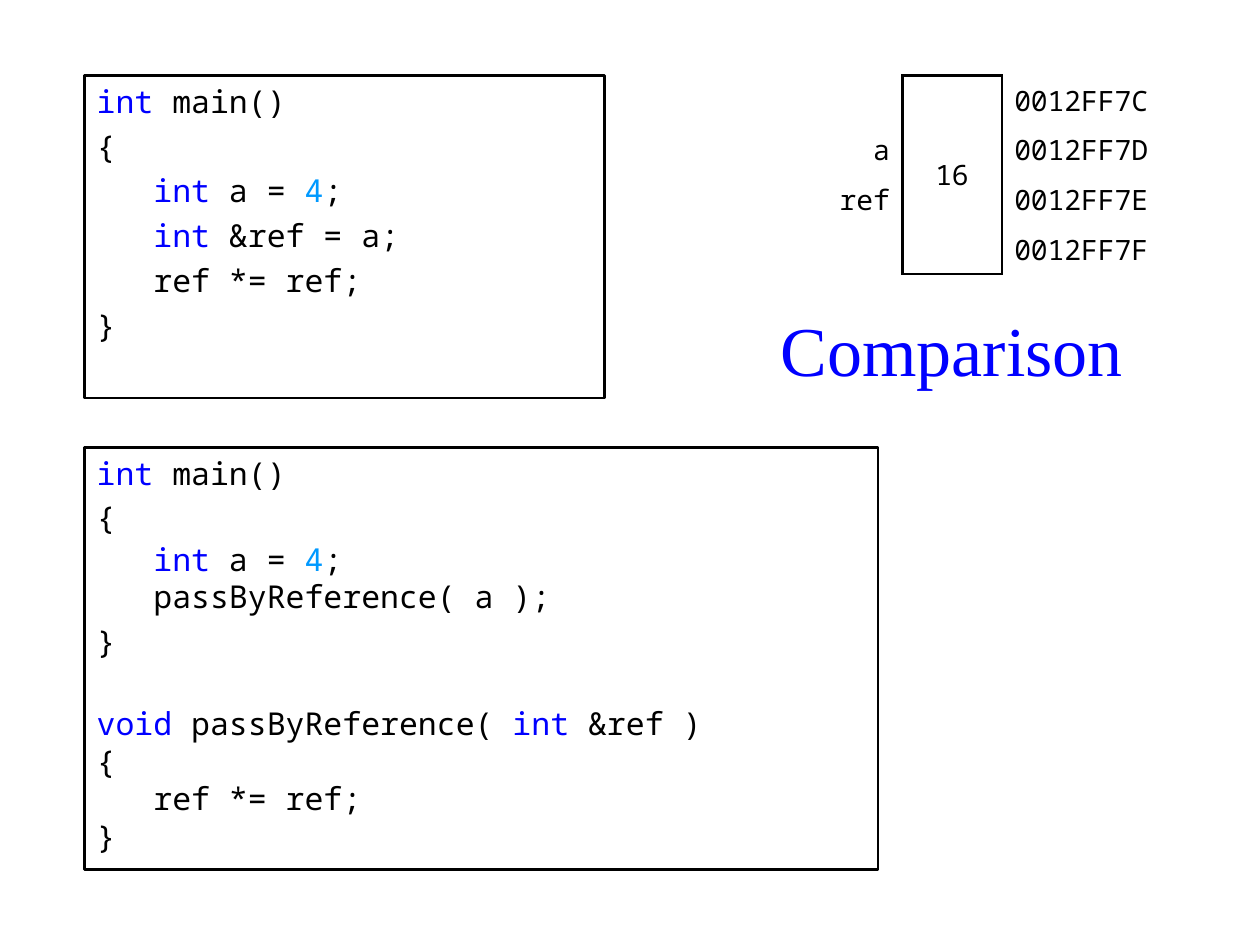
from lxml import etree
from pptx import Presentation
from pptx import util as u
from pptx.dml.color import RGBColor
from pptx.enum import shapes, text
from pptx.oxml.ns import qn

Pt = u.Pt
COLORS = {"text": "000000", "keyword": "0000FF", "number": "0099FF"}
MONO = "Noto Sans Mono"
CODE_INDENT = 32.4  # three characters of 18 pt code


def write(paragraph, *runs, size=18, font=MONO, align=text.PP_ALIGN.LEFT,
          before=0, indent=0):
    """Each run is a string, or a (string, colour name) pair."""
    paragraph.alignment = align
    paragraph.space_before = Pt(before)
    if indent:
        paragraph._p.get_or_add_pPr().set("marL", str(Pt(indent)))
    for item in runs:
        words, color = (item, "text") if isinstance(item, str) else item
        run = paragraph.add_run()
        run.text = words
        run.font.size = Pt(size)
        run.font.name = font
        run.font.color.rgb = RGBColor.from_string(COLORS[color])


def add_border(cell, sides):
    """Sides are letters from L, R, T, B, in that order."""
    for side in sides:
        line = etree.SubElement(cell._tc.get_or_add_tcPr(), qn(f"a:ln{side}"),
                                w=str(Pt(1.5)))
        fill = etree.SubElement(line, qn("a:solidFill"))
        etree.SubElement(fill, qn("a:srgbClr"), val=COLORS["text"])


prs = Presentation()
prs.slide_width, prs.slide_height = Pt(720), Pt(540)
slide = prs.slides.add_slide(prs.slide_layouts[6])

# Title
title = slide.shapes.add_textbox(Pt(430.5), Pt(170.6), Pt(226.8), Pt(56.9)).text_frame
title.word_wrap = True
title.vertical_anchor = text.MSO_ANCHOR.MIDDLE
write(title.paragraphs[0], ("Comparison", "keyword"), size=40,
      font="Times New Roman", align=text.PP_ALIGN.CENTER)

# Code listings: each line is (space before, indent level, runs)
INT = ("int", "keyword")
MAIN = [(4, 0, [INT, " main()"]), (4, 0, ["{"])]
ASSIGN = [INT, " a = ", ("4", "number"), ";"]
SQUARE = ["ref *= ref;"]

by_function = MAIN + [
    (2, 1, ASSIGN),
    (0, 1, ["passByReference( a );"]),
    (4, 0, ["}"]),
    (25, 0, [("void ", "keyword"), "passByReference( ", INT, " &ref )"]),
    (0, 0, ["{"]),
    (0, 1, SQUARE),
    (0, 0, ["}"]),
]
by_variable = MAIN + [
    (4, 1, ASSIGN),
    (4, 1, [INT, " &ref = a;"]),
    (4, 1, SQUARE),
    (4, 0, ["}"]),
]

for top, width, height, listing in [(255.6, 453.6, 241.2, by_function),
                                    (43.2, 297.4, 184.3, by_variable)]:
    box = slide.shapes.add_shape(shapes.MSO_SHAPE.RECTANGLE,
                                 Pt(48.2), Pt(top), Pt(width), Pt(height))
    box.shadow.inherit = False
    box.fill.background()
    box.line.color.rgb = RGBColor.from_string(COLORS["text"])
    box.line.width = Pt(1.5)
    code = box.text_frame
    code.word_wrap = True
    code.vertical_anchor = text.MSO_ANCHOR.TOP
    for number, (before, level, runs) in enumerate(listing):
        paragraph = code.add_paragraph() if number else code.paragraphs[0]
        write(paragraph, *runs, before=before, indent=level * CODE_INDENT)

# Memory table: variable names, stored value, addresses
names = ["", "a", "ref", ""]
values = ["16", "", "", ""]
addresses = ["0012FF7C", "0012FF7D", "0012FF7E", "0012FF7F"]
aligns = [text.PP_ALIGN.RIGHT, text.PP_ALIGN.CENTER, text.PP_ALIGN.LEFT]
value_sides = ["LRTB", "LR", "LR", "LRB"]
ROW_HEIGHT = 28.35

frame = slide.shapes.add_table(4, 3, Pt(402.5), Pt(43.2), Pt(269.2), Pt(4 * ROW_HEIGHT))
memory = frame.table
memory.first_row = memory.horz_banding = False
# Built-in style without fills or grid lines
memory._tbl.tblPr.find(qn("a:tableStyleId")).text = "{2D5ABB26-0587-4C30-8999-92F81FD0307C}"
for column, width in zip(memory.columns, [113.2, 56.7, 99.3]):
    column.width = Pt(width)
memory.cell(0, 1).merge(memory.cell(3, 1))

for r, row in enumerate(zip(names, values, addresses)):
    memory.rows[r].height = Pt(ROW_HEIGHT)
    for c, words in enumerate(row):
        cell = memory.cell(r, c)
        cell.vertical_anchor = text.MSO_ANCHOR.MIDDLE
        cell.margin_left = Pt(7.2)
        cell.margin_right = Pt(5.8 if c == 2 else 7.2)
        cell.margin_top = cell.margin_bottom = Pt(2.9)
        add_border(cell, ["R", value_sides[r], "L"][c])
        cell.fill.background()
        if words:
            write(cell.text_frame.paragraphs[0], words, size=16,
                  align=aligns[c], before=3.7)

prs.save("out.pptx")
